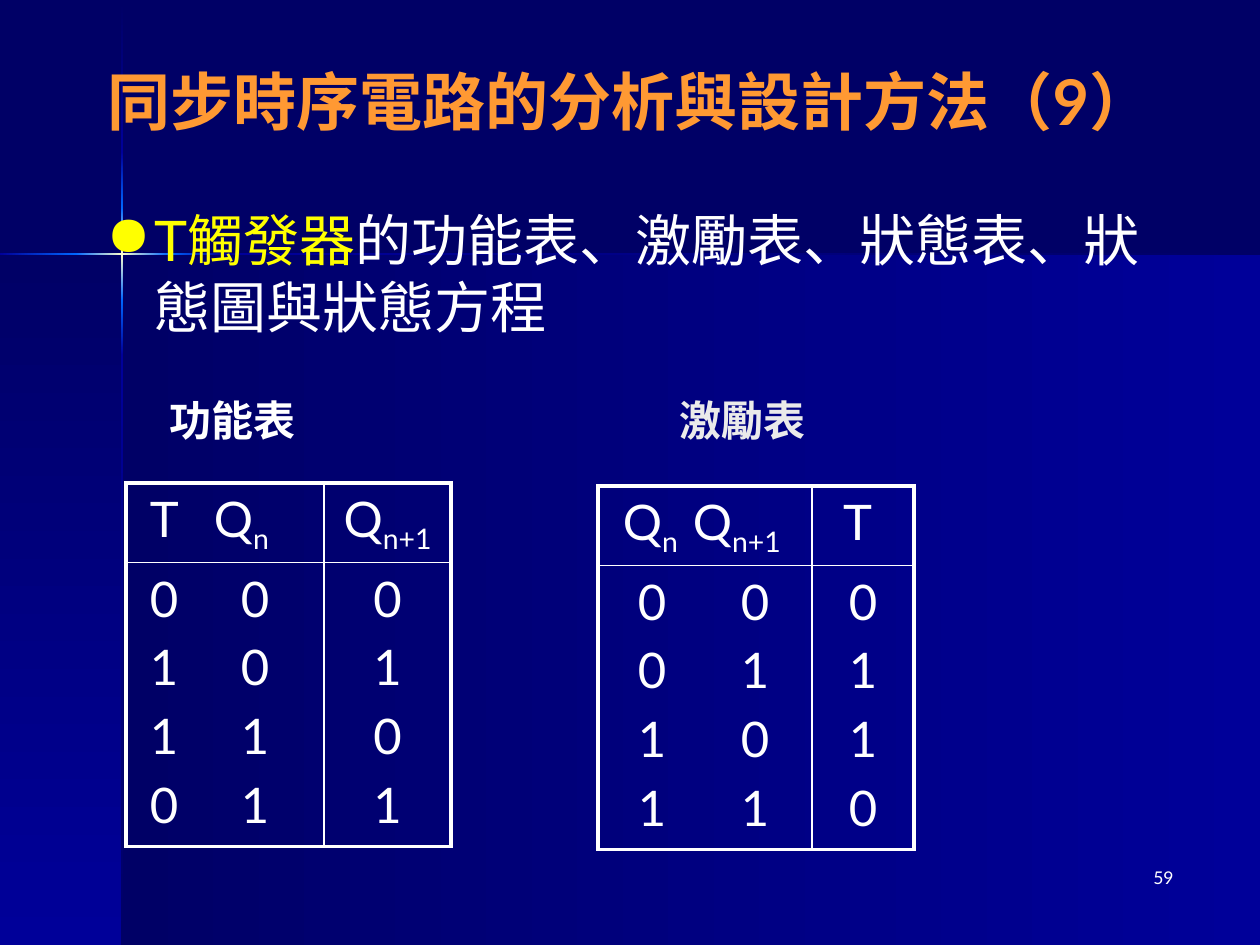
from dataclasses import dataclass
from itertools import pairwise

from lxml import etree
from pptx import Presentation
from pptx.dml.color import RGBColor
from pptx.enum.shapes import MSO_SHAPE
from pptx.enum.text import MSO_ANCHOR, PP_ALIGN
from pptx.oxml import parse_xml
from pptx.oxml.ns import nsdecls, qn
from pptx.util import Emu, Pt

RECT = MSO_SHAPE.RECTANGLE
LEFT, CENTER, RIGHT = PP_ALIGN.LEFT, PP_ALIGN.CENTER, PP_ALIGN.RIGHT
MIDDLE = MSO_ANCHOR.MIDDLE
COLORS = {"dark": "000066", "blue": "000099", "azure": "0066FF", "glow": "FFFFCC",
          "title": "FF9933", "accent": "FFFF00", "text": "FFFFFF", "pale": "EAEAEA"}
BODY_FONT, LABEL_FONT = "Lato", "TeX Gyre Schola"
THICK, THIN = 2.25, 1
RAYS = [("dark", "blue"), ("blue", "azure"), ("azure", "glow", "azure"),
        ("azure", "blue"), ("blue", "dark")]


@dataclass
class Run:
    text: str
    color: str = "text"
    sub: bool = False


@dataclass
class TextBox:
    box: tuple[int, int, int, int]
    runs: list[Run]
    font: dict
    align: PP_ALIGN = LEFT
    bullet: bool = False
    middle: bool = False


@dataclass
class Cell:
    lines: list[list[Run]]
    margin: int = 13
    tab: int = 0  # start of the second column; 0 centres the text


@dataclass
class TruthTable:
    left: int
    top: int
    cols: list[int]
    rows: list[int]
    cells: list[list[Cell]]


def px(n: int) -> Emu:
    return Emu(round(n * 914400 / 126))


def digits(*lines: str) -> list[list[Run]]:
    return [[Run(line)] for line in lines]


def add_runs(p, runs: list[Run], font: dict) -> None:
    for run in runs:
        r = p.add_run()
        r.text = run.text
        for name, value in font.items():
            setattr(r.font, name, value)
        r.font.color.rgb = RGBColor.from_string(COLORS[run.color])
        if run.sub:
            r._r.get_or_add_rPr().set("baseline", "-25000")


def add_gradient(slide, box: tuple, colors: tuple, angle: int) -> None:
    sp = slide.shapes.add_shape(RECT, *map(px, box))
    stops = "".join(
        f'<a:gs pos="{i * 100000 // (len(colors) - 1)}"><a:srgbClr val="{COLORS[c]}"/></a:gs>'
        for i, c in enumerate(colors))
    sp._element.spPr.append(parse_xml(
        f'<a:gradFill {nsdecls("a")} rotWithShape="1"><a:gsLst>{stops}</a:gsLst>'
        f'<a:lin ang="{angle * 60000}" scaled="0"/></a:gradFill>'))
    sp.line.fill.background()
    sp.shadow.inherit = False


def add_text(slide, item: TextBox) -> None:
    tf = slide.shapes.add_textbox(*map(px, item.box)).text_frame
    tf.word_wrap = True
    if item.middle:
        tf.vertical_anchor = MIDDLE
    p = tf.paragraphs[0]
    p.alignment = item.align
    if item.bullet:
        pPr = p._p.get_or_add_pPr()
        pPr.set("marL", str(px(48)))
        pPr.set("indent", str(-px(48)))
        color = etree.SubElement(pPr, qn("a:buClr"))
        etree.SubElement(color, qn("a:srgbClr"), val=COLORS["accent"])
        etree.SubElement(pPr, qn("a:buChar"), char="●")
    add_runs(p, item.runs, item.font)


def set_borders(cell, widths: dict[str, float]) -> None:
    tcPr = cell._tc.get_or_add_tcPr()
    for i, (side, width) in enumerate(widths.items()):
        tcPr.insert(i, parse_xml(
            f'<a:ln{side} {nsdecls("a")} w="{Pt(width)}"><a:solidFill>'
            f'<a:srgbClr val="{COLORS["text"]}"/></a:solidFill></a:ln{side}>'))


def fill_cell(cell, item: Cell) -> None:
    cell.fill.background()
    cell.margin_left = px(item.margin)
    tf = cell.text_frame
    for i, runs in enumerate(item.lines):
        p = tf.add_paragraph() if i else tf.paragraphs[0]
        p.alignment = LEFT if item.tab else CENTER
        if item.tab:
            tabs = etree.SubElement(p._p.get_or_add_pPr(), qn("a:tabLst"))
            etree.SubElement(tabs, qn("a:tab"), pos=str(px(item.tab)), algn="l")
        if i:
            p.space_before = Pt(5.6)
        add_runs(p, runs, {"name": BODY_FONT, "size": Pt(28)})


def add_truth_table(slide, item: TruthTable) -> None:
    n_rows, n_cols = len(item.rows), len(item.cols)
    table = slide.shapes.add_table(
        n_rows, n_cols, px(item.left), px(item.top),
        px(sum(item.cols)), px(sum(item.rows))).table
    table.first_row = table.horz_banding = False
    for col, width in zip(table.columns, item.cols):
        col.width = px(width)
    for row, height in zip(table.rows, item.rows):
        row.height = px(height)
    for y, row in enumerate(item.cells):
        for x, content in enumerate(row):
            cell = table.cell(y, x)
            fill_cell(cell, content)
            outer = {"L": x == 0, "R": x == n_cols - 1, "T": y == 0, "B": y == n_rows - 1}
            set_borders(cell, {s: THICK if edge else THIN for s, edge in outer.items()})


TEXTS = [
    TextBox((924, 861, 262, 63), [Run("59")], {"name": BODY_FONT, "size": Pt(10)}, RIGHT),
    TextBox((42, 55, 1176, 90), [Run("同步時序電路的分析與設計方法（9）", "title")],
            {"name": BODY_FONT, "size": Pt(36), "bold": True}, CENTER, middle=True),
    TextBox((94, 199, 1092, 640),
            [Run("T觸發器", "accent"), Run("的功能表、激勵表、狀態表、狀態圖與狀態方程")],
            {"name": BODY_FONT, "size": Pt(32)}, bullet=True),
] + [
    TextBox((left, 388, 168, 63), [Run(text, color)],
            {"name": LABEL_FONT, "size": Pt(24), "bold": True})
    for left, text, color in [(157, "功能表", "text"), (667, "激勵表", "pale")]
]

Q_NEXT = [Run("Q"), Run("n+1", sub=True)]
TABLES = [
    TruthTable(126, 483, [198, 127], [73, 284], [
        [Cell([[Run("T\tQ"), Run("n", sub=True)]], 24, 64), Cell([Q_NEXT])],
        [Cell(digits("0\t0", "1\t0", "1\t1", "0\t1"), 24, 91),
         Cell(digits("0", "1", "0", "1"))],
    ]),
    TruthTable(598, 486, [214, 102], [72, 284], [
        [Cell([[Run("Q"), Run("n", sub=True), Run("\t"), *Q_NEXT]], 25, 70),
         Cell([[Run("T ")]])],
        [Cell(digits("0\t0", "0\t1", "1\t0", "1\t1"), 40, 103),
         Cell(digits("0", "1", "1", "0"))],
    ]),
]


def main() -> None:
    prs = Presentation()
    prs.slide_width, prs.slide_height = px(1260), px(945)
    slide = prs.slides.add_slide(prs.slide_layouts[6])
    bg = slide.background.fill
    bg.solid()
    bg.fore_color.rgb = RGBColor.from_string(COLORS["dark"])

    # Background panels and the glowing cross
    add_gradient(slide, (122, 255, 1138, 690), ("dark", "blue"), 0)
    add_gradient(slide, (0, 255, 122, 690), ("dark", "blue"), 90)
    for (y1, y2), colors in zip(pairwise([1, 152, 208, 300, 355, 945]), RAYS):
        add_gradient(slide, (121, y1, 2, y2 - y1), colors, 90)
    for (x1, x2), colors in zip(pairwise([0, 76, 168, 223, 1260]), RAYS[1:]):
        add_gradient(slide, (x1, 253, x2 - x1, 2), colors, 0)

    # Title, statement, labels and page number
    for text in TEXTS:
        add_text(slide, text)

    # Function table and excitation table
    for table in TABLES:
        add_truth_table(slide, table)
    prs.save("out.pptx")


if __name__ == "__main__":
    main()
